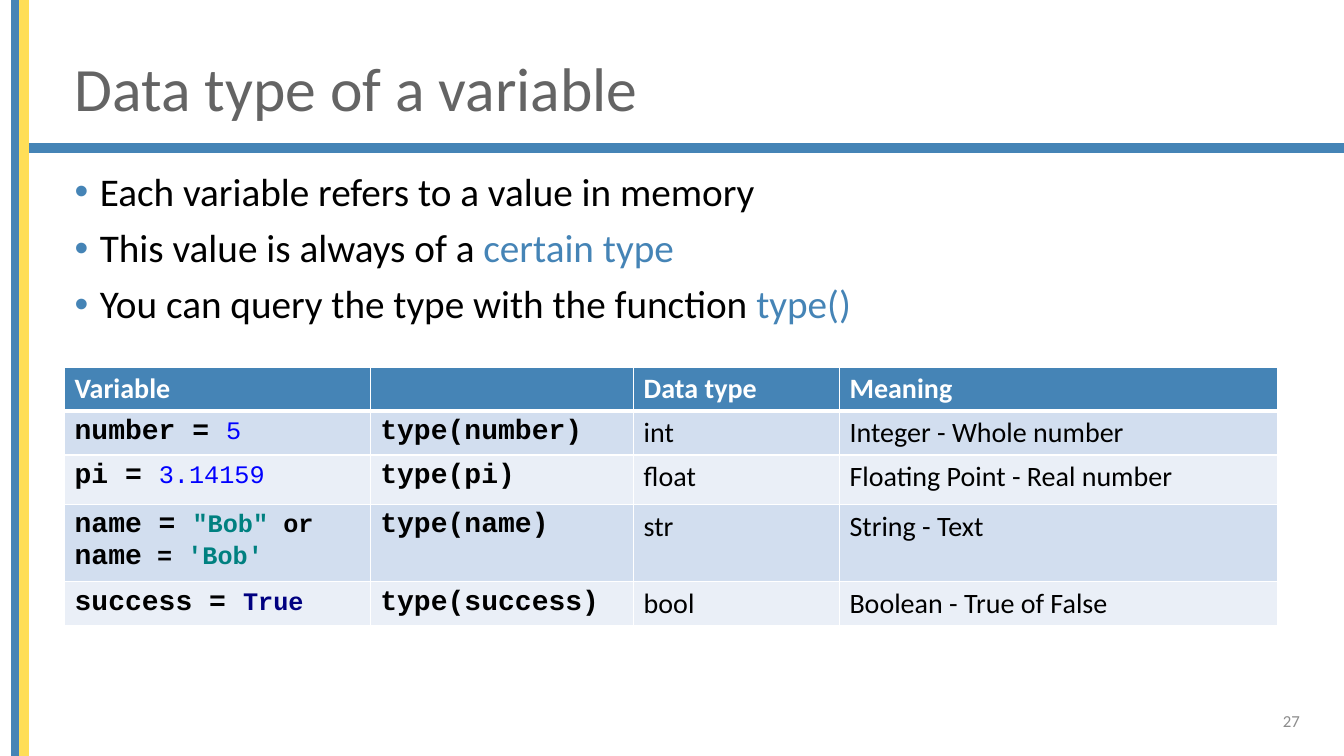
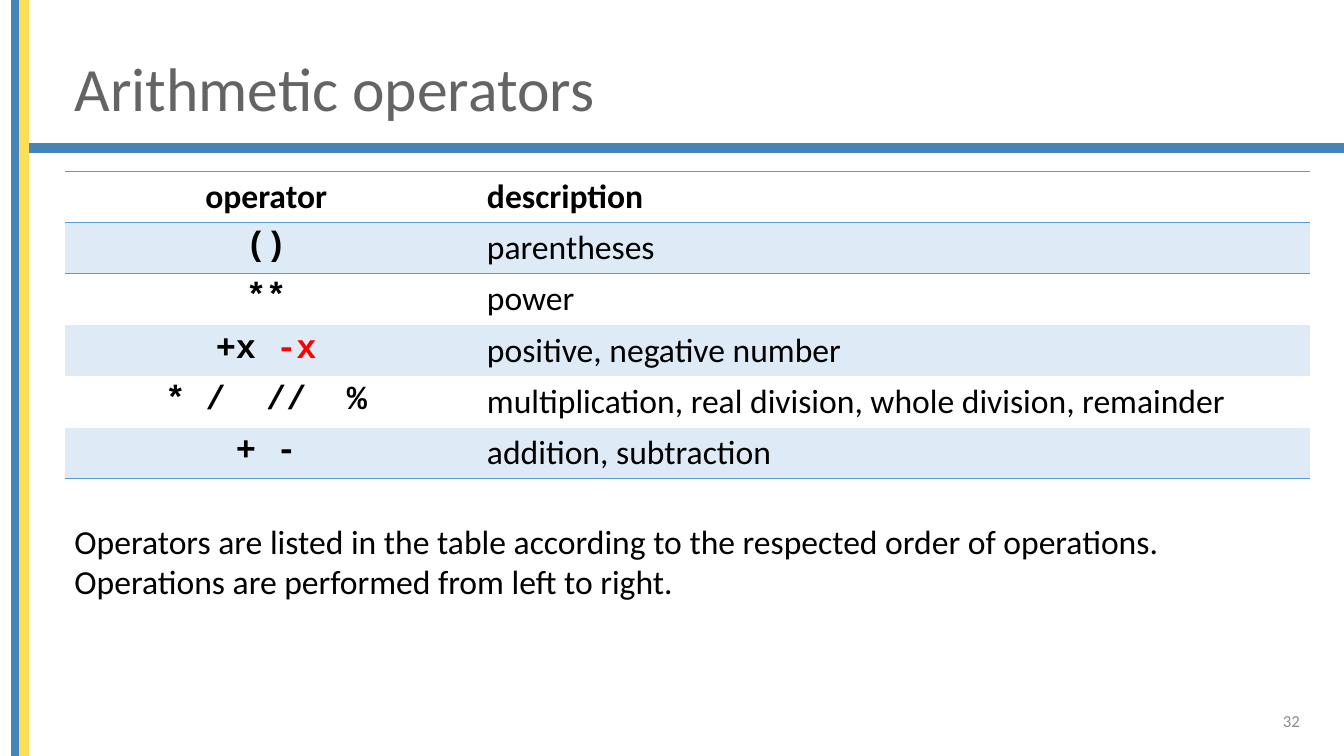
from dataclasses import dataclass, replace

from lxml.etree import SubElement
from pptx import Presentation
from pptx.dml.color import RGBColor
from pptx.enum.shapes import MSO_SHAPE
from pptx.enum.text import MSO_ANCHOR, MSO_AUTO_SIZE, PP_ALIGN
from pptx.oxml.ns import qn
from pptx.util import Inches, Pt

SLIDE_W, SLIDE_H = 13.33, 7.5
LEFT, CONTENT_W = 0.64, 12.35
BAND = 0.08

BLUE = RGBColor(0x45, 0x84, 0xB6)
YELLOW = RGBColor(0xFF, 0xDE, 0x57)
TITLE_GREY = RGBColor(0x64, 0x64, 0x64)
NUMBER_GREY = RGBColor(0x8C, 0x8C, 0x8C)
BLACK = RGBColor(0, 0, 0)
WHITE = RGBColor(0xFF, 0xFF, 0xFF)
RED = RGBColor(0xFF, 0, 0)
LITERAL_BLUE = RGBColor(0, 0, 0xFF)
STRING_TEAL = RGBColor(0, 0x80, 0x80)
KEYWORD_NAVY = RGBColor(0, 0, 0x80)
STRIPE_DARK = RGBColor(0xD2, 0xDE, 0xEF)
STRIPE_LIGHT = RGBColor(0xEA, 0xEF, 0xF7)
OPERATOR_STRIPE = RGBColor(0xDE, 0xEB, 0xF7)
OPERATOR_RULE = RGBColor(0x5B, 0x9B, 0xD5)

NO_TABLE_STYLE = "{2D5ABB26-0587-4C30-8999-92F81FD0307C}"


@dataclass(frozen=True)
class Style:
    size: int
    color: RGBColor = BLACK
    bold: bool = False
    font: str = "Calibri"


TITLE = Style(44, TITLE_GREY)
BULLET = Style(28)
BULLET_KEY = replace(BULLET, color=BLUE)
PAGE_NUMBER = Style(12, NUMBER_GREY)
HEADER = Style(20, WHITE, True)
CELL = Style(20)
CODE = Style(20, bold=True, font="Courier New")
SMALL_CODE = replace(CODE, size=18)
NUMBER = replace(SMALL_CODE, color=LITERAL_BLUE, bold=False)
STRING = replace(SMALL_CODE, color=STRING_TEAL)
KEYWORD = replace(SMALL_CODE, color=KEYWORD_NAVY)
NOTE = Style(24)
OPERATOR_HEADER = replace(NOTE, bold=True)
OPERATOR = replace(CODE, size=24)
OPERATOR_RED = replace(OPERATOR, color=RED)

BULLETS = [
    [("Each variable refers to a value in memory", BULLET)],
    [("This value is always of a ", BULLET), ("certain type", BULLET_KEY)],
    [("You can query the type with the function ", BULLET), ("type()", BULLET_KEY)],
]
TYPE_HEADINGS = ["Variable", "", "Data type", "Meaning"]
# Each row: lines of the assignment, query, data type, meaning
TYPE_ROWS = [
    ([[("number = ", CODE), ("5", NUMBER)]],
     "type(number)", "int", "Integer - Whole number"),
    ([[("pi = ", CODE), ("3.14159", NUMBER)]],
     "type(pi)", "float", "Floating Point - Real number"),
    ([[("name = ", CODE), ('"Bob" ', STRING), ("or", SMALL_CODE)],
      [("name", CODE), (" = ", SMALL_CODE), ("'Bob'", STRING)]],
     "type(name)", "str", "String - Text"),
    ([[("success = ", CODE), ("True", KEYWORD)]],
     "type(success)", "bool", "Boolean - True of False"),
]
OPERATOR_ROWS = [
    ([("operator", OPERATOR_HEADER)], ("description", OPERATOR_HEADER)),
    ([("()", OPERATOR)], ("parentheses", NOTE)),
    ([("**", OPERATOR)], ("power", NOTE)),
    ([("+x ", OPERATOR), ("-x", OPERATOR_RED)], ("positive, negative number", NOTE)),
    ([("* /  //  %", OPERATOR)],
     ("multiplication, real division, whole division, remainder", NOTE)),
    ([("+ -", OPERATOR)], ("addition, subtraction", NOTE)),
]
OPERATOR_NOTES = [
    "Operators are listed in the table according to the respected order of operations.",
    "Operations are performed from left to right.",
]


def place(shape, left, top, width, height):
    shape.left, shape.top = Inches(left), Inches(top)
    shape.width, shape.height = Inches(width), Inches(height)


def write(frame, lines, align=PP_ALIGN.LEFT):
    """Fill a text frame with lines, each a list of (text, Style) runs."""
    for index, line in enumerate(lines):
        paragraph = frame.add_paragraph() if index else frame.paragraphs[0]
        paragraph.alignment = align
        for text, style in line:
            run = paragraph.add_run()
            run.text = text
            run.font.name = style.font
            run.font.size = Pt(style.size)
            run.font.bold = style.bold
            run.font.color.rgb = style.color


def set_bullet(paragraph):
    paragraph.line_spacing = 0.9
    paragraph.space_before = Pt(10)
    properties = paragraph._p.get_or_add_pPr()
    properties.set("marL", str(Inches(0.25)))
    properties.set("indent", str(-Inches(0.25)))
    color = SubElement(properties, qn("a:buClr"))
    SubElement(color, qn("a:srgbClr"), val=str(BLUE))
    SubElement(properties, qn("a:buChar"), char="•")


def set_cell(cell, lines, fill=None, borders=None, align=PP_ALIGN.LEFT):
    """Write a cell; borders maps sides L, R, T, B to (colour, points)."""
    write(cell.text_frame, lines, align)
    properties = cell._tc.get_or_add_tcPr()
    for side in "LRTB":
        if borders and side in borders:
            color, points = borders[side]
            line = SubElement(properties, qn(f"a:ln{side}"), w=str(Pt(points)))
            solid = SubElement(line, qn("a:solidFill"))
            SubElement(solid, qn("a:srgbClr"), val=str(color))
    if fill is None:
        cell.fill.background()
    else:
        cell.fill.solid()
        cell.fill.fore_color.rgb = fill


def add_plain_table(slide, box, column_weights, row_weights):
    """Add an unstyled table whose columns and rows share the box by weight."""
    left, top, width, height = map(Inches, box)
    frame = slide.shapes.add_table(
        len(row_weights), len(column_weights), left, top, width, height)
    frame.element.find(".//" + qn("a:tableStyleId")).text = NO_TABLE_STYLE
    table = frame.table
    table.first_row = table.horz_banding = False
    for column, weight in zip(table.columns, column_weights):
        column.width = int(width * weight / sum(column_weights))
    for row, weight in zip(table.rows, row_weights):
        row.height = int(height * weight / sum(row_weights))
    return table


def add_text(slide, box, lines, align=PP_ALIGN.LEFT, anchor=MSO_ANCHOR.TOP):
    frame = slide.shapes.add_textbox(*map(Inches, box)).text_frame
    frame.word_wrap = True
    frame.vertical_anchor = anchor
    write(frame, lines, align)


def move_bands_to_master(master, slide):
    """Draw the three coloured bands and hand them to the master."""
    bands = [
        ((0.2, 1.43, SLIDE_W - 0.2, BAND), BLUE),
        ((0.12, 0, BAND, SLIDE_H), BLUE),
        ((0.2, 0, BAND, SLIDE_H), YELLOW),
    ]
    for index, (box, color) in enumerate(bands):
        band = slide.shapes.add_shape(MSO_SHAPE.RECTANGLE, *map(Inches, box))
        band.shadow.inherit = False
        band.fill.solid()
        band.fill.fore_color.rgb = color
        band.line.color.rgb = color
        band.line.width = Pt(1)
        band.element.nvSpPr.cNvPr.set("id", str(100 + index))
        master.shapes.element.insert(2 + index, band.element)


def set_up_master(master):
    title, body = master.placeholders[0], master.placeholders[1]
    place(title, LEFT, 0.4, 11.78, 1.01)
    place(body, LEFT, 1.66, CONTENT_W, 5.06)


def add_titled_slide(presentation, layout_index, title, number):
    slide = presentation.slides.add_slide(presentation.slide_layouts[layout_index])
    frame = slide.shapes.title.text_frame
    frame.auto_size = MSO_AUTO_SIZE.NONE
    frame.vertical_anchor = MSO_ANCHOR.MIDDLE
    write(frame, [[(title, TITLE)]])
    frame.paragraphs[0].line_spacing = 0.9
    add_text(slide, (LEFT + CONTENT_W - 3, 6.95, 3, 0.4),
             [[(number, PAGE_NUMBER)]], PP_ALIGN.RIGHT, MSO_ANCHOR.MIDDLE)
    return slide


def add_type_table(slide, box):
    table = add_plain_table(slide, box, (303, 261, 204, 434), (43, 44, 49, 73, 44))
    thin, thick = (WHITE, 1), (WHITE, 3)
    grid = dict.fromkeys("LRTB", thin)
    for column, heading in enumerate(TYPE_HEADINGS):
        lines = [[(heading, HEADER)]] if heading else []
        set_cell(table.cell(0, column), lines, BLUE, {**grid, "B": thick})
    for row, (assignment, query, kind, meaning) in enumerate(TYPE_ROWS, 1):
        fill = STRIPE_DARK if row % 2 else STRIPE_LIGHT
        borders = {**grid, "T": thick} if row == 1 else grid
        contents = [assignment, [[(query, CODE)]], [[(kind, CELL)]], [[(meaning, CELL)]]]
        for column, lines in enumerate(contents):
            set_cell(table.cell(row, column), lines, fill, borders)


def add_operator_table(slide, box):
    last = len(OPERATOR_ROWS) - 1
    table = add_plain_table(slide, box, (4, 8.35), [1] * len(OPERATOR_ROWS))
    rule = (OPERATOR_RULE, 1)
    row_borders = {0: {"T": rule, "B": rule}, 1: {"T": rule}, last: {"B": rule}}
    for row, (operators, description) in enumerate(OPERATOR_ROWS):
        fill = OPERATOR_STRIPE if row % 2 else None
        parts = [(operators, PP_ALIGN.CENTER), ([description], PP_ALIGN.LEFT)]
        for column, (line, align) in enumerate(parts):
            cell = table.cell(row, column)
            cell.margin_left = cell.margin_right = Inches(0.19)
            set_cell(cell, [line], fill, row_borders.get(row), align)


def build_data_type_slide(presentation):
    slide = add_titled_slide(presentation, 1, "Data type of a variable", "27")
    frame = slide.placeholders[1].text_frame
    frame.auto_size = MSO_AUTO_SIZE.NONE
    write(frame, BULLETS)
    for paragraph in frame.paragraphs:
        set_bullet(paragraph)
    add_type_table(slide, (LEFT, 3.64, 12.03, 2.53))
    return slide


def build_operator_slide(presentation):
    slide = add_titled_slide(presentation, 5, "Arithmetic operators", "32")
    add_operator_table(slide, (LEFT, 1.7, CONTENT_W, 3.05))
    add_text(slide, (LEFT, 5.12, 11.3, 0.91), [[(note, NOTE)] for note in OPERATOR_NOTES])


def main():
    presentation = Presentation()
    presentation.slide_width = Inches(SLIDE_W)
    presentation.slide_height = Inches(SLIDE_H)
    set_up_master(presentation.slide_master)
    first_slide = build_data_type_slide(presentation)
    build_operator_slide(presentation)
    move_bands_to_master(presentation.slide_master, first_slide)
    presentation.save("out.pptx")


if __name__ == "__main__":
    main()
